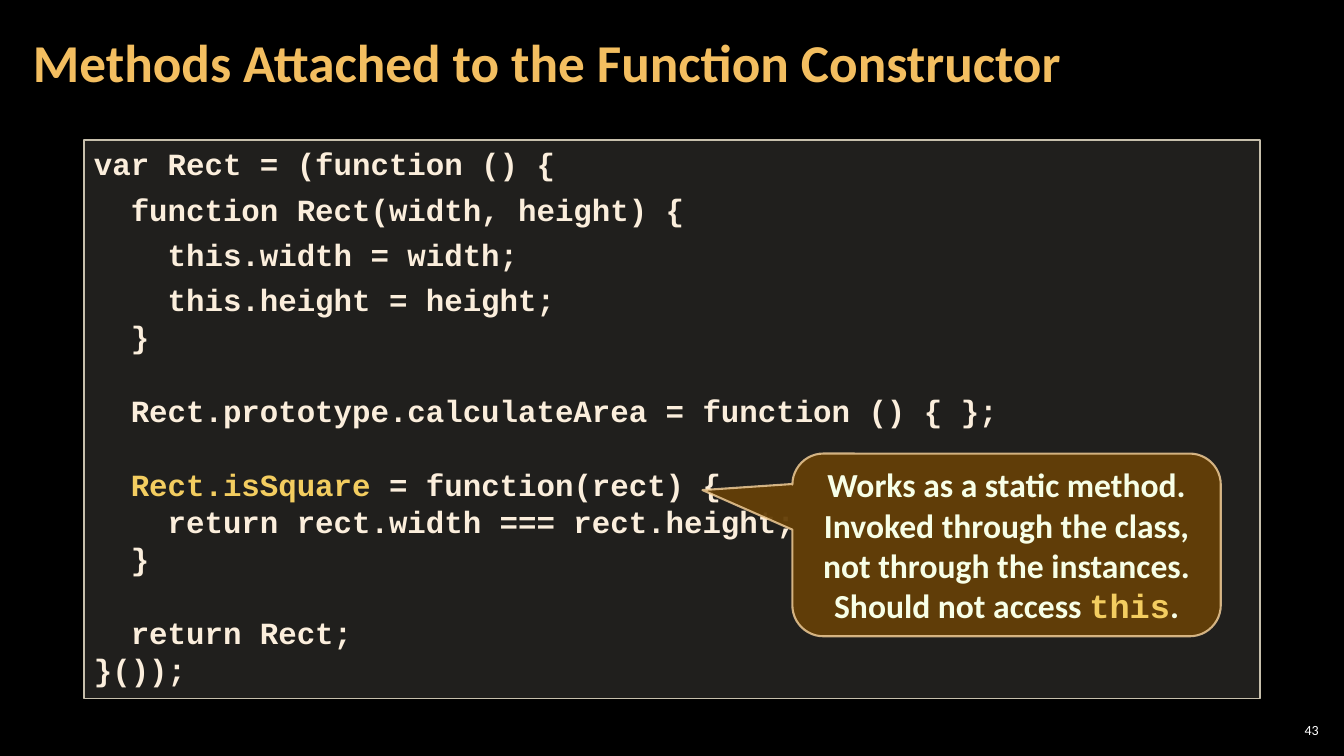
from lxml.etree import SubElement
from pptx import Presentation
from pptx.dml.color import RGBColor
from pptx.enum.shapes import MSO_SHAPE as Shape
from pptx.enum.text import MSO_ANCHOR as Anchor, PP_ALIGN as Align
from pptx.oxml.ns import qn
from pptx.util import Pt

BODY_FONT, CODE_FONT = "Calibri", "Courier New"
CREAM, GOLD, IVORY = "FBEEDC", "F3CD60", "F7FFE7"

TITLE = "Methods Attached to the Function Constructor"
CODE = """var Rect = (function () {
  function Rect(width, height) {
    this.width = width;
    this.height = height;
  }

  Rect.prototype.calculateArea = function () { };

  Rect.isSquare = function(rect) {
    return rect.width === rect.height;
  }

  return Rect;
}());""".split("\n")
SPACED_LINES = range(1, 4)
HIGHLIGHT = "  Rect.isSquare"
CALLOUT = [
    [("Works as a static method. Invoked through the class, "
      "not through the instances.", BODY_FONT, IVORY)],
    [("Should not access ", BODY_FONT, IVORY), ("this", CODE_FONT, GOLD),
     (".", BODY_FONT, IVORY)],
]
CALLOUT_ADJUSTMENTS = (-0.71, -0.3, 0.17)
PAGE_NUMBER = "43"

# left, top, width, height
TITLE_BOX = (15, 3, 754, 87)
CODE_BOX = (60, 100, 840, 399)
CALLOUT_BOX = (566, 324, 306, 130.5)
NUMBER_BOX = (911, 514, 34, 15)


def color(hex_text):
    return RGBColor.from_string(hex_text)


def points(box):
    return [Pt(value) for value in box]


def format_font(font, name, size, hex_text, bold=True):
    font.name, font.size, font.bold = name, Pt(size), bold
    font.color.rgb = color(hex_text)


def add_runs(paragraph, runs, size):
    """Add (text, font name, colour) runs in bold."""
    for text, name, hex_text in runs:
        run = paragraph.add_run()
        run.text = text
        format_font(run.font, name, size, hex_text)


def set_alpha(color_format, percent):
    solid = color_format._xFill
    SubElement(solid.find(qn("a:srgbClr")), qn("a:alpha"), val=str(percent * 1000))


def add_panel(slide, kind, box, fill, fill_alpha, line, line_width, anchor):
    shape = slide.shapes.add_shape(kind, *points(box))
    shape.shadow.inherit = False
    shape.fill.solid()
    shape.fill.fore_color.rgb = color(fill)
    set_alpha(shape.fill.fore_color, fill_alpha)
    shape.line.color.rgb = color(line)
    shape.line.width = Pt(line_width)
    shape.text_frame.word_wrap = True
    shape.text_frame.vertical_anchor = anchor
    return shape


def set_margins(text_frame, sides, ends):
    text_frame.margin_left = text_frame.margin_right = Pt(sides)
    text_frame.margin_top = text_frame.margin_bottom = Pt(ends)


def add_title(slide):
    title = slide.shapes.title
    title.left, title.top, title.width, title.height = points(TITLE_BOX)
    frame = title.text_frame
    frame.text = TITLE
    frame.word_wrap = True
    frame.vertical_anchor = Anchor.MIDDLE
    set_margins(frame, 8.5, 3)
    paragraph = frame.paragraphs[0]
    paragraph.alignment = Align.LEFT
    paragraph.line_spacing = 0.9
    format_font(paragraph.runs[0].font, BODY_FONT, 38, "F3BE60")


def add_code(slide):
    panel = add_panel(slide, Shape.RECTANGLE, CODE_BOX, "D9D5C7", 15,
                      "C7BFAC", 1, Anchor.TOP)
    frame = panel.text_frame
    frame.text = "\n".join(CODE)
    for index, (paragraph, line) in enumerate(zip(frame.paragraphs, CODE)):
        paragraph.alignment = Align.LEFT
        if index in SPACED_LINES:
            paragraph.space_before = Pt(6)
        if line.startswith(HIGHLIGHT):
            paragraph.clear()
            add_runs(paragraph, [(HIGHLIGHT, CODE_FONT, GOLD),
                                 (line[len(HIGHLIGHT):], CODE_FONT, CREAM)], 22)
        elif line:
            format_font(paragraph.runs[0].font, CODE_FONT, 22, CREAM)
        else:
            end = SubElement(paragraph._p, qn("a:endParaRPr"), sz="2200", b="1")
            SubElement(end, qn("a:latin"), typeface=CODE_FONT)


def add_callout(slide):
    callout = add_panel(slide, Shape.ROUNDED_RECTANGULAR_CALLOUT, CALLOUT_BOX,
                        "643F07", 95, "F8D49E", 1.5, Anchor.MIDDLE)
    for index, value in enumerate(CALLOUT_ADJUSTMENTS):
        callout.adjustments[index] = value
    set_alpha(callout.line.color, 80)
    frame = callout.text_frame
    for index, runs in enumerate(CALLOUT):
        paragraph = frame.add_paragraph() if index else frame.paragraphs[0]
        paragraph.alignment = Align.CENTER
        add_runs(paragraph, runs, 24)


def add_page_number(slide):
    frame = slide.shapes.add_textbox(*points(NUMBER_BOX)).text_frame
    frame.text = PAGE_NUMBER
    frame.word_wrap = True
    frame.vertical_anchor = Anchor.MIDDLE
    set_margins(frame, 3, 3)
    frame.paragraphs[0].alignment = Align.RIGHT
    format_font(frame.paragraphs[0].runs[0].font, BODY_FONT, 10, "FFFFFF", False)


def main():
    presentation = Presentation()
    presentation.slide_width, presentation.slide_height = Pt(960), Pt(540)
    slide = presentation.slides.add_slide(presentation.slide_layouts[5])
    slide.background.fill.solid()
    slide.background.fill.fore_color.rgb = color("000000")
    add_title(slide)
    add_code(slide)
    add_page_number(slide)
    add_callout(slide)
    presentation.save("out.pptx")


if __name__ == "__main__":
    main()
